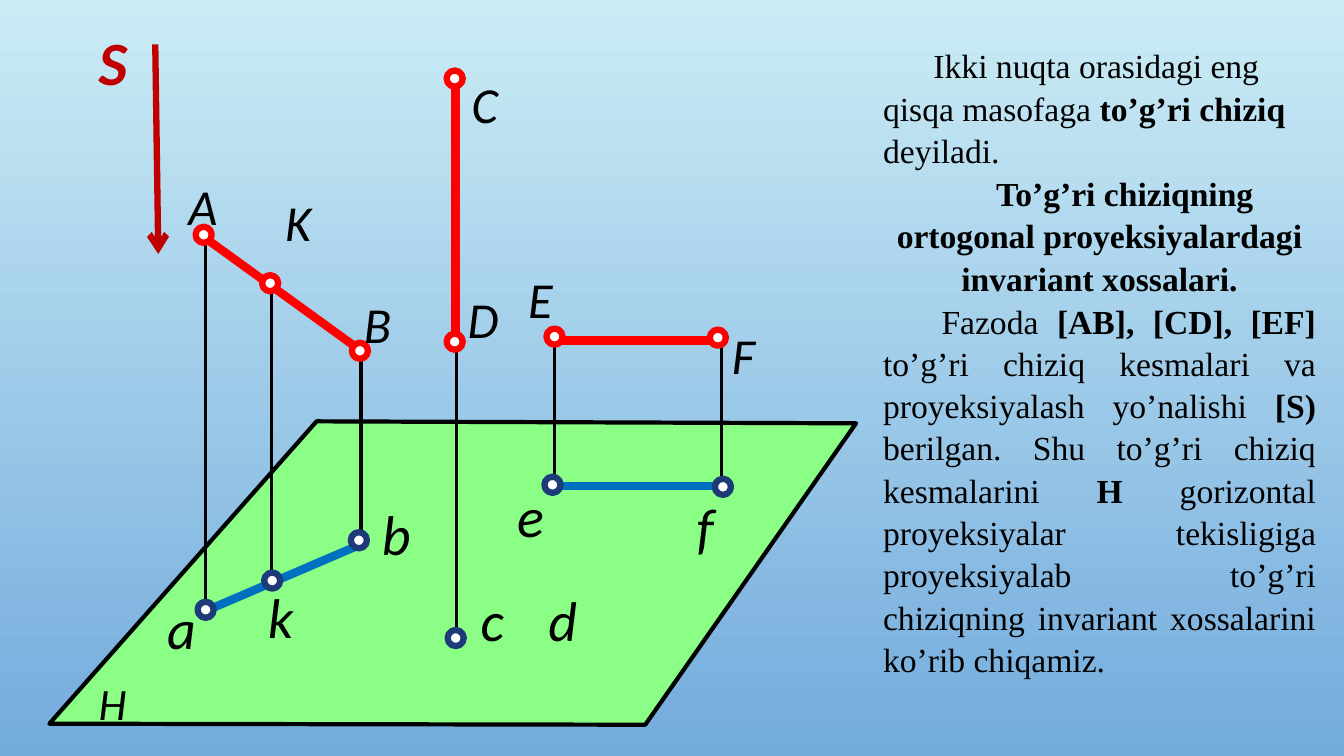
from lxml.etree import SubElement
from pptx import Presentation
from pptx.dml.color import RGBColor
from pptx.enum.shapes import MSO_CONNECTOR as Connector, MSO_SHAPE as Shape
from pptx.enum.text import MSO_AUTO_SIZE as AutoSize, PP_ALIGN as Align
from pptx.oxml.ns import qn
from pptx.util import Emu, Inches, Pt

SLIDE_W, SLIDE_H = Inches(13.33), Inches(7.5)
CELL = SLIDE_H / 75  # square grid, 75 rows high

BLACK, WHITE, RED, CRIMSON = "000000", "FFFFFF", "FF0000", "C00000"
BLUE, NAVY, GREEN = "0070C0", "1D3A79", "8BFF85"
THICK, THIN, RING_LINE, PLANE_LINE = 6, 2.25, 4.5, 3
RING = 1.6

PLANE = [(31.4, 41.8), (84.9, 42), (64, 71.9), (4.9, 71.8)]

# Each entry: start column, start row, end column, end row
SPACE_SEGMENTS = {
    "AB": (35.8, 34.8, 20.2, 23.5),
    "CD": (45.2, 33.9, 45.2, 7.8),
    "EF": (71.6, 33.8, 54.6, 33.8),
}
PLANE_SEGMENTS = {
    "ab": (35.8, 54, 20.2, 60.7),
    "ef": (71.6, 48.2, 54.6, 48.2),
}
# Each entry: column, top row, bottom row
PROJECTORS = {
    "Aa": (20.4, 23.3, 60.7),
    "Kk": (26.9, 28.7, 58.3),
    "Bb": (35.8, 34.8, 54.1),
    "Dd": (45.3, 34, 63.2),
    "Ee": (55, 33.8, 48.3),
    "Ff": (71.6, 33.8, 48.2),
}
# Each entry: centre column, centre row
SPACE_POINTS = {
    "A": (20.2, 23.3), "K": (26.8, 28.1), "B": (35.7, 34.8), "C": (45.1, 7.8),
    "D": (45.1, 33.9), "E": (55, 33.4), "F": (71.2, 33.5),
}
PLANE_POINTS = {
    "a": (20.4, 60.5), "k": (27, 57.6), "b": (35.6, 53.6), "c": (45.2, 63.3),
    "e": (54.8, 48.1), "f": (71.7, 48.3),
}
# Each entry: left column, top row, width in columns
SPACE_LABELS = {
    "A": (17.7, 16.9, 5.6), "K": (27.3, 18.5, 5), "B": (35.1, 28.6, 4.8),
    "C": (45.8, 6.8, 6.9), "D": (45.4, 28.1, 5), "E": (51.4, 26.1, 5),
    "F": (71.6, 31.7, 5),
}
PLANE_LABELS = {
    "a": (15.6, 58.4, 4), "k": (25.6, 57.3, 5), "b": (36.9, 49.1, 5),
    "c": (46.7, 57.6, 5), "d": (53.4, 57.6, 5), "e": (50.3, 47.3, 5),
    "f": (68.1, 48.4, 7.1),
}

# Each paragraph: alignment, first-line indent in inches, (text, bold) runs
EXPLANATION = [
    (Align.LEFT, 0.5, [
        ("Ikki nuqta orasidagi eng qisqa masofaga ", False),
        ("to’g’ri chiziq ", True),
        ("deyiladi.", False)]),
    (Align.CENTER, 0.5, [
        ("To’g’ri chiziqning ortogonal proyeksiyalardagi invariant xossalari.", True)]),
    (Align.JUSTIFY, 0.58, [
        ("Fazoda ", False),
        ("[AB], [CD], [EF] ", True),
        ("to’g’ri chiziq kesmalari va proyeksiyalash yo’nalishi ", False),
        ("[S) ", True),
        ("berilgan. Shu to’g’ri chiziq kesmalarini ", False),
        ("H ", True),
        ("gorizontal proyeksiyalar tekisligiga proyeksiyalab to’g’ri chiziqning "
         "invariant xossalarini ko’rib chiqamiz.", False)]),
]


def cells(*counts):
    """Convert grid counts to slide lengths."""
    return [Emu(round(count * CELL)) for count in counts]


def rgb(hex_colour):
    return RGBColor.from_string(hex_colour)


def set_values(target, values):
    for attribute, value in values.items():
        setattr(target, attribute, value)


def paint_background(slide, *hex_colours):
    fill = slide.background.fill
    fill.gradient()
    fill.gradient_angle = 270
    for stop, position, colour in zip(fill.gradient_stops, (0, 1), hex_colours):
        stop.position = position
        stop.color.rgb = rgb(colour)


def outline(shape, colour, width):
    shape.line.color.rgb = rgb(colour)
    shape.line.width = Pt(width)


def paint_shape(shape, fill, line, width):
    shape.shadow.inherit = False
    shape.fill.solid()
    shape.fill.fore_color.rgb = rgb(fill)
    outline(shape, line, width)


def add_line(slide, ends, colour, width, arrow=False):
    line = slide.shapes.add_connector(Connector.STRAIGHT, *cells(*ends))
    outline(line, colour, width)
    properties = line._element.spPr
    if arrow:
        SubElement(properties.find(qn("a:ln")), qn("a:tailEnd"), type="arrow")
    SubElement(properties, qn("a:effectLst"))


def add_plane(slide):
    corners = [cells(*corner) for corner in PLANE]
    builder = slide.shapes.build_freeform(*corners[0], scale=1)
    builder.add_line_segments(corners[1:], close=True)
    paint_shape(builder.convert_to_shape(), GREEN, BLACK, PLANE_LINE)


def add_ring(slide, centre, colour):
    left, top = (coordinate - RING / 2 for coordinate in centre)
    ring = slide.shapes.add_shape(Shape.OVAL, *cells(left, top, RING, RING))
    paint_shape(ring, WHITE, colour, RING_LINE)


def add_text_frame(slide, place):
    frame = slide.shapes.add_textbox(*cells(*place)).text_frame
    set_values(frame, {"word_wrap": True, "auto_size": AutoSize.SHAPE_TO_FIT_TEXT})
    return frame


def add_run(paragraph, text, colour=BLACK, **font_values):
    run = paragraph.add_run()
    run.text = text
    set_values(run.font, font_values)
    run.font.color.rgb = rgb(colour)


def add_label(slide, text, place, size, **look):
    """Place an italic letter in a box whose height follows the letter size."""
    height = size / 72 * 12.2 + 1
    frame = add_text_frame(slide, (*place, height))
    add_run(frame.paragraphs[0], text, name="Calibri", size=Pt(size), italic=True, **look)


def add_explanation(slide):
    frame = add_text_frame(slide, (86.6, 3.8, 44.9, 61.7))
    for number, (alignment, indent, runs) in enumerate(EXPLANATION):
        paragraph = frame.add_paragraph() if number else frame.paragraphs[0]
        set_values(paragraph, {"alignment": alignment, "line_spacing": 1.05,
                               "space_before": Pt(0.5 if number else 0)})
        paragraph._p.get_or_add_pPr().set("indent", str(Inches(indent)))
        for text, bold in runs:
            add_run(paragraph, text, name="Times New Roman", size=Pt(24), bold=bold)


def main():
    deck = Presentation()
    set_values(deck, {"slide_width": SLIDE_W, "slide_height": SLIDE_H})
    slide = deck.slides.add_slide(deck.slide_layouts[6])
    paint_background(slide, "CBECF5", "73ABDD")

    add_explanation(slide)
    add_plane(slide)
    for column, top, bottom in PROJECTORS.values():
        add_line(slide, (column, top, column, bottom), BLACK, THIN)
    for segments, colour in ((SPACE_SEGMENTS, RED), (PLANE_SEGMENTS, BLUE)):
        for ends in segments.values():
            add_line(slide, ends, colour, THICK)
    add_line(slide, (15.4, 4.4, 15.7, 25.2), CRIMSON, 4.5, arrow=True)

    for points, colour in ((SPACE_POINTS, RED), (PLANE_POINTS, NAVY)):
        for centre in points.values():
            add_ring(slide, centre, colour)
    for labels, size in ((SPACE_LABELS, 36), (PLANE_LABELS, 40)):
        for text, place in labels.items():
            add_label(slide, text, place, size)
    add_label(slide, "H", (8.8, 66.5, 4.8), 32)
    add_label(slide, "S", (8.8, 1.9, 7), 44, colour=CRIMSON, bold=True)
    deck.save("out.pptx")


if __name__ == "__main__":
    main()
